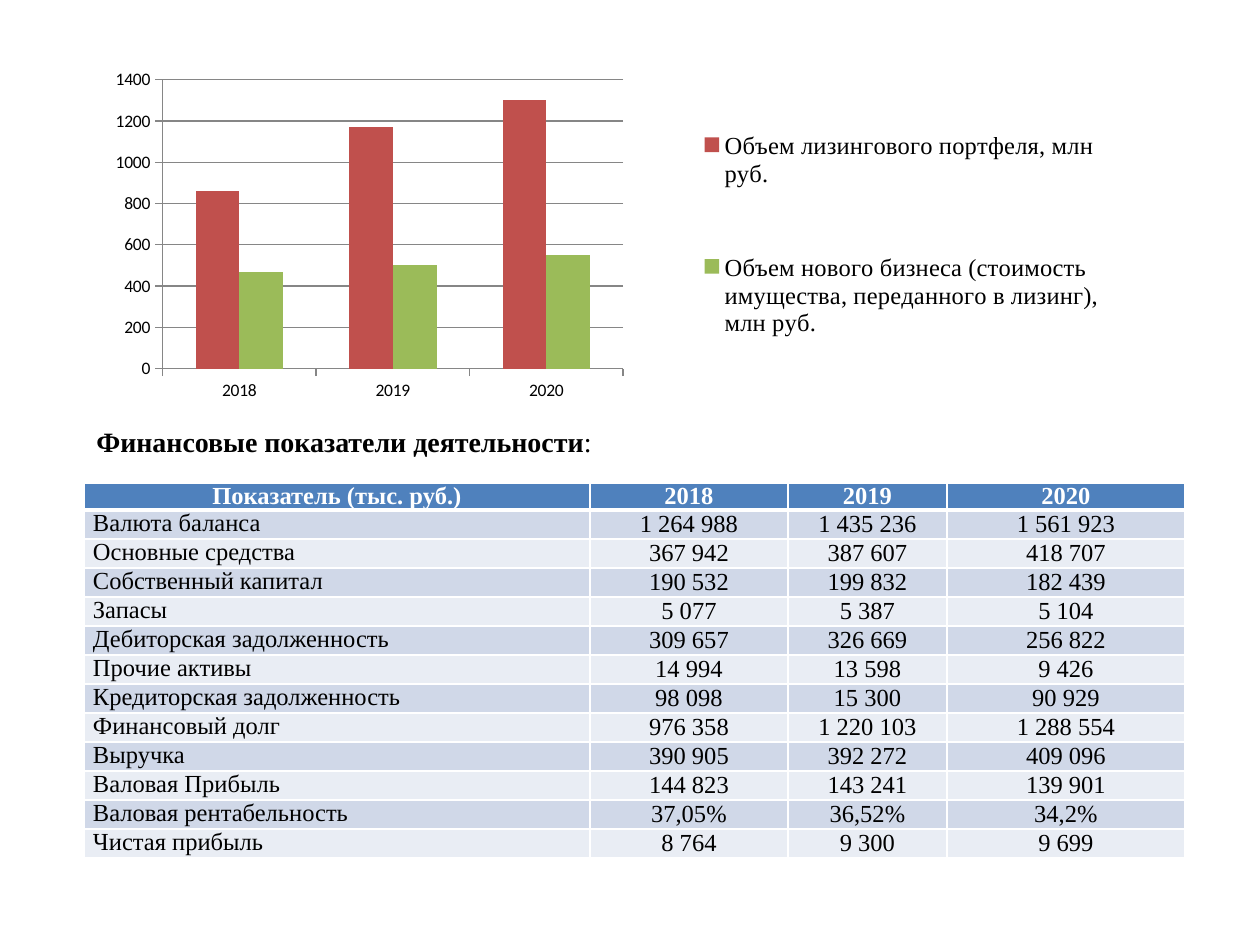
from pptx import Presentation
from pptx import util as u
from pptx.chart.data import CategoryChartData
from pptx.dml.color import RGBColor
from pptx.enum import chart as ch, text
from pptx.oxml import parse_xml
from pptx.oxml.ns import nsdecls

SCALE = 914400 // 126  # EMU in one px
SERIF = "Times New Roman"
YEARS = ["2018", "2019", "2020"]


def px(n):
    return u.Emu(n * SCALE)


def rgb(value):
    return RGBColor.from_string(value)


def style_font(font, size, name, color="000000", bold=False):
    font.size, font.name, font.bold = u.Pt(size), name, bold
    font.color.rgb = rgb(color)


def add_text(p, content, size=14, name=SERIF, color="000000", bold=False, align=None):
    r = p.add_run()
    r.text = content
    style_font(r.font, size, name, color, bold)
    if align is not None:
        p.alignment = align


def set_layout(parent, x, y, w, h, inner=False):
    """Give a plot area or legend a fixed place, as fractions of the chart."""
    for old in parent.findall("{*}layout"):
        parent.remove(old)
    target = '<c:layoutTarget val="inner"/>' if inner else ""
    parts = "".join(f'<c:{k} val="{v}"/>' for k, v in
                    (("xMode", "edge"), ("yMode", "edge"),
                     ("x", x), ("y", y), ("w", w), ("h", h)))
    layout = parse_xml(f'<c:layout {nsdecls("c")}><c:manualLayout>{target}{parts}'
                       '</c:manualLayout></c:layout>')
    # The layout follows the legend position and comes first in a plot area
    pos = parent.find("{*}legendPos")
    parent.insert(0 if pos is None else parent.index(pos) + 1, layout)


class Deck:
    grid = "868686"
    header = "4F81BD"
    bands = ("D0D8E8", "E9EDF4")
    series = ("C0504D", "9BBB59")

    def __init__(self, width, height):
        self.prs = Presentation()
        self.prs.slide_width, self.prs.slide_height = u.Inches(width), u.Inches(height)
        self.s = self.prs.slides.add_slide(self.prs.slide_layouts[6])

    def chart(self, box, cats, data):
        cd = CategoryChartData()
        cd.categories = cats
        for name, values in data:
            cd.add_series(name, values)
        c = self.s.shapes.add_chart(ch.XL_CHART_TYPE.COLUMN_CLUSTERED,
                                    *map(px, box), cd).chart
        style_font(c.font, 10, "Calibri")
        c.has_title = False
        plot = c.plots[0]
        plot.gap_width, plot.overlap, plot.vary_by_categories = 150, 0, False
        for ser, color in zip(plot.series, self.series):
            ser.format.fill.solid()
            ser.format.fill.fore_color.rgb = rgb(color)

        # Axes
        val = c.value_axis
        val.minimum_scale, val.maximum_scale, val.major_unit = 0, 1400, 200
        val.has_major_gridlines = True
        for part in (c.category_axis, val, val.major_gridlines):
            part.format.line.color.rgb = rgb(self.grid)
            part.format.line.width = u.Pt(0.75)
        for axis in (c.category_axis, val):
            axis.major_tick_mark = ch.XL_TICK_MARK.OUTSIDE

        # Legend and plot area
        c.has_legend = True
        c.legend.position = ch.XL_LEGEND_POSITION.RIGHT
        c.legend.include_in_layout = False
        style_font(c.legend.font, 14, SERIF)
        set_layout(c.legend._element, 0.58, 0, 0.38, 0.97)
        set_layout(c._chartSpace.chart.plotArea, 0.08, 0.04, 0.43, 0.83, inner=True)

    def heading(self, box, content, tail):
        tf = self.s.shapes.add_textbox(*map(px, box)).text_frame
        tf.word_wrap = False
        tf.vertical_anchor = text.MSO_ANCHOR.BOTTOM
        add_text(tf.paragraphs[0], content, size=16, bold=True)
        add_text(tf.paragraphs[0], tail, size=16)

    def table(self, box, widths, heights, rows):
        frame = self.s.shapes.add_table(len(rows), len(widths), *map(px, box))
        t = frame.table
        for col, w in zip(t.columns, widths):
            col.width = px(w)
        for row, h in zip(t.rows, heights):
            row.height = px(h)
        frame.height = px(box[3])
        for i, row in enumerate(rows):
            for j, content in enumerate(row):
                self.cell(t.cell(i, j), content, i, j)

    def cell(self, cell, content, i, j):
        head = i == 0
        cell.margin_left = cell.margin_right = px(9)
        cell.margin_top = cell.margin_bottom = 0
        centred = head or j > 0
        cell.vertical_anchor = text.MSO_ANCHOR.MIDDLE if centred else text.MSO_ANCHOR.TOP
        add_text(cell.text_frame.paragraphs[0], content, bold=head,
                 color="FFFFFF" if head else "000000",
                 align=text.PP_ALIGN.CENTER if centred else text.PP_ALIGN.LEFT)
        # White borders, heavier between header and body
        for side in "LRTB":
            heavy = (i, side) in ((0, "B"), (1, "T"))
            cell._tc.get_or_add_tcPr().append(parse_xml(
                f'<a:ln{side} {nsdecls("a")} w="{u.Pt(3 if heavy else 1)}"><a:solidFill>'
                f'<a:srgbClr val="FFFFFF"/></a:solidFill></a:ln{side}>'))
        cell.fill.solid()
        cell.fill.fore_color.rgb = rgb(self.header if head else self.bands[(i - 1) % 2])


INDICATORS = [
    ("Показатель (тыс. руб.)", *YEARS),
    ("Валюта баланса", "1 264 988", "1 435 236", "1 561 923"),
    ("Основные средства", "367 942", "387 607", "418 707"),
    ("Собственный капитал", "190 532", "199 832", "182 439"),
    ("Запасы", "5 077", "5 387", "5 104"),
    ("Дебиторская задолженность", "309 657", "326 669", "256 822"),
    ("Прочие активы", "14 994", "13 598", "9 426"),
    ("Кредиторская задолженность", "98 098", "15 300", "90 929"),
    ("Финансовый долг", "976 358", "1 220 103", "1 288 554"),
    ("Выручка", "390 905", "392 272", "409 096"),
    ("Валовая Прибыль", "144 823", "143 241", "139 901"),
    ("Валовая рентабельность", "37,05%", "36,52%", "34,2%"),
    ("Чистая прибыль", "8 764", "9 300", "9 699"),
]


def main():
    deck = Deck(10, 7.5)
    deck.table((84, 483, 1101, 382), (506, 198, 159, 238),
               [4] + [29] * (len(INDICATORS) - 1), INDICATORS)
    deck.chart((77, 66, 1071, 348), YEARS, [
        ("Объем лизингового портфеля, млн руб.", (860, 1170, 1300)),
        ("Объем нового бизнеса (стоимость имущества, переданного в лизинг), млн руб.",
         (470, 500, 550)),
    ])
    deck.heading((84, 383, 528, 81), "Финансовые показатели деятельности", ":")
    deck.prs.save("out.pptx")


if __name__ == "__main__":
    main()
